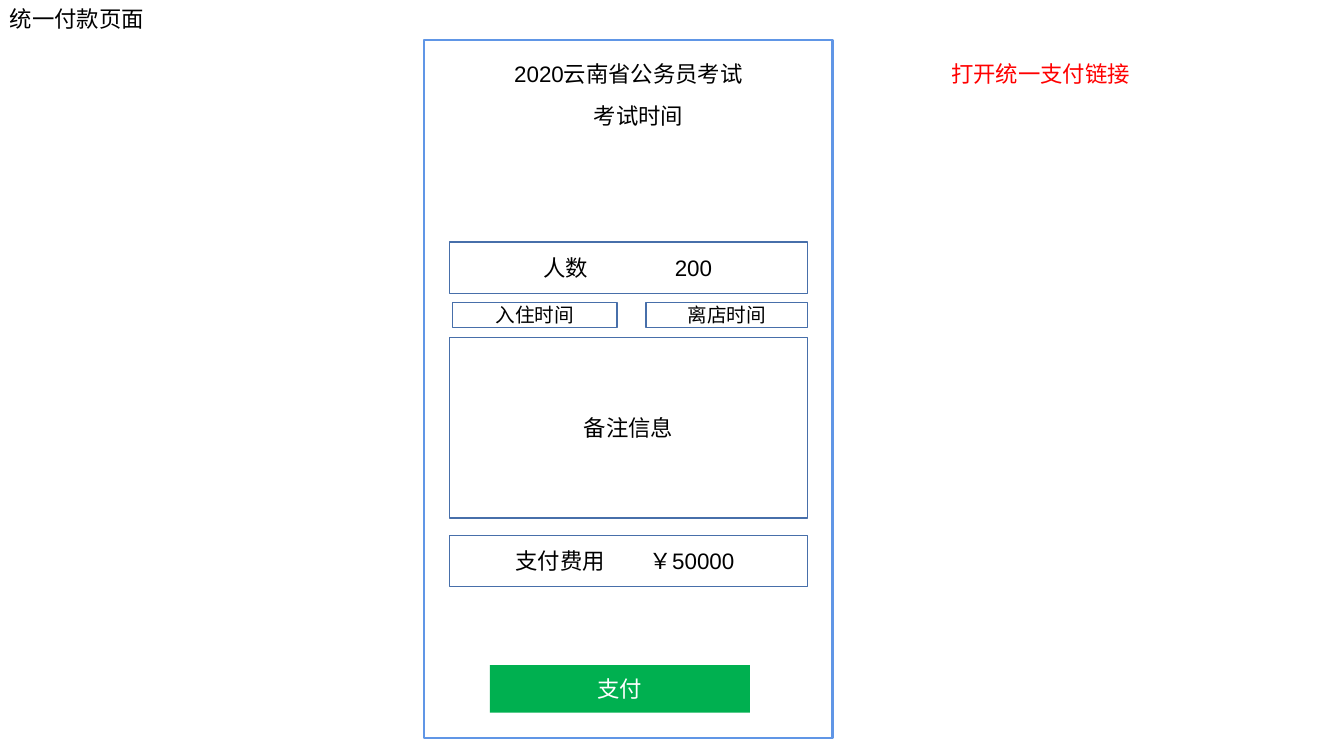
from dataclasses import dataclass
from typing import Optional

from lxml.etree import SubElement
from pptx import Presentation
from pptx.dml.color import RGBColor as Rgb
from pptx.enum.shapes import MSO_SHAPE as Preset
from pptx.enum.text import MSO_ANCHOR as Anchor, PP_ALIGN as Align
from pptx.oxml.ns import qn
from pptx.util import Pt

COLORS = {
    "ink": "000000",
    "note": "FF0000",
    "phone": "6096E6",
    "field": "476FAA",
    "pay": "00B050",
    "pay_text": "FFFFFF",
}
FIELD_LEFT = 321.1
FIELD_WIDTH = 255.6
ROW_HEIGHT = 36.7
CAPTION_HEIGHT = 26.6


@dataclass(frozen=True)
class Box:
    left: float
    top: float
    width: float
    height: float
    text: str = ""
    size: float = 16
    color: str = "ink"
    fill: Optional[str] = None
    line: Optional[str] = "field"
    weight: float = 1
    tabs: tuple[float, ...] = ()


@dataclass(frozen=True)
class Caption:
    left: float
    top: float
    width: float
    text: str
    color: str = "ink"
    align: Align = Align.LEFT
    wrap: bool = True


def rgb(name: str) -> Rgb:
    return Rgb.from_string(COLORS[name])


def write(frame, text: str, *, size: float = 16, color: str = "ink",
          align: Align = Align.LEFT, anchor: Anchor = Anchor.TOP,
          wrap: bool = True, tabs: tuple[float, ...] = ()) -> None:
    frame.word_wrap = wrap
    frame.vertical_anchor = anchor
    paragraph = frame.paragraphs[0]
    paragraph.alignment = align
    if tabs:
        stops = SubElement(paragraph._p.get_or_add_pPr(), qn("a:tabLst"))
        for position in tabs:
            SubElement(stops, qn("a:tab"), pos=str(int(Pt(position))), algn="l")
    run = paragraph.add_run()
    run.text = text
    run.font.name = "Arial"
    run.font.size = Pt(size)
    run.font.color.rgb = rgb(color)


def draw_box(slide, box: Box) -> None:
    shape = slide.shapes.add_shape(
        Preset.RECTANGLE, Pt(box.left), Pt(box.top), Pt(box.width), Pt(box.height))
    shape.shadow.inherit = False
    if box.fill:
        shape.fill.solid()
        shape.fill.fore_color.rgb = rgb(box.fill)
    else:
        shape.fill.background()
    if box.line:
        shape.line.color.rgb = rgb(box.line)
        shape.line.width = Pt(box.weight)
    else:
        shape.line.fill.background()
    if box.text:
        write(shape.text_frame, box.text, size=box.size, color=box.color,
              align=Align.LEFT if box.tabs else Align.CENTER,
              anchor=Anchor.MIDDLE, tabs=box.tabs)


def draw_caption(slide, caption: Caption) -> None:
    area = slide.shapes.add_textbox(
        Pt(caption.left), Pt(caption.top), Pt(caption.width), Pt(CAPTION_HEIGHT))
    write(area.text_frame, caption.text, color=caption.color,
          align=caption.align, wrap=caption.wrap)


BOXES = [
    Box(303.1, 28.8, 291.6, 498.2, line="phone", weight=1.5),
    Box(FIELD_LEFT, 172.8, FIELD_WIDTH, ROW_HEIGHT, "\t人数\t200", tabs=(60, 153.8)),
    Box(FIELD_LEFT, 382.3, FIELD_WIDTH, ROW_HEIGHT, "\t支付费用\t￥50000",
        tabs=(40, 136)),
    Box(349.9, 475.2, 185.8, 33.8, "支付", color="pay_text", fill="pay", line=None),
    Box(FIELD_LEFT, 241.2, FIELD_WIDTH, 128.9, "备注信息"),
    Box(323.3, 216, 117.4, 18, "入住时间", size=14),
    Box(461.5, 216, 115.2, 18, "离店时间", size=14),
]
CAPTIONS = [
    Caption(0, 0, 110.2, "统一付款页面", wrap=False),
    Caption(672.5, 39.6, 163.4, "打开统一支付链接", color="note"),
    Caption(342.7, 39.6, 212.4, "2020云南省公务员考试", align=Align.CENTER),
    Caption(349.9, 69.1, 212.4, "考试时间", align=Align.CENTER),
]


def main() -> None:
    deck = Presentation()
    deck.slide_width = Pt(960)
    deck.slide_height = Pt(540)
    slide = deck.slides.add_slide(deck.slide_layouts[6])
    for box in BOXES:
        draw_box(slide, box)
    for caption in CAPTIONS:
        draw_caption(slide, caption)
    deck.save("out.pptx")


if __name__ == "__main__":
    main()
